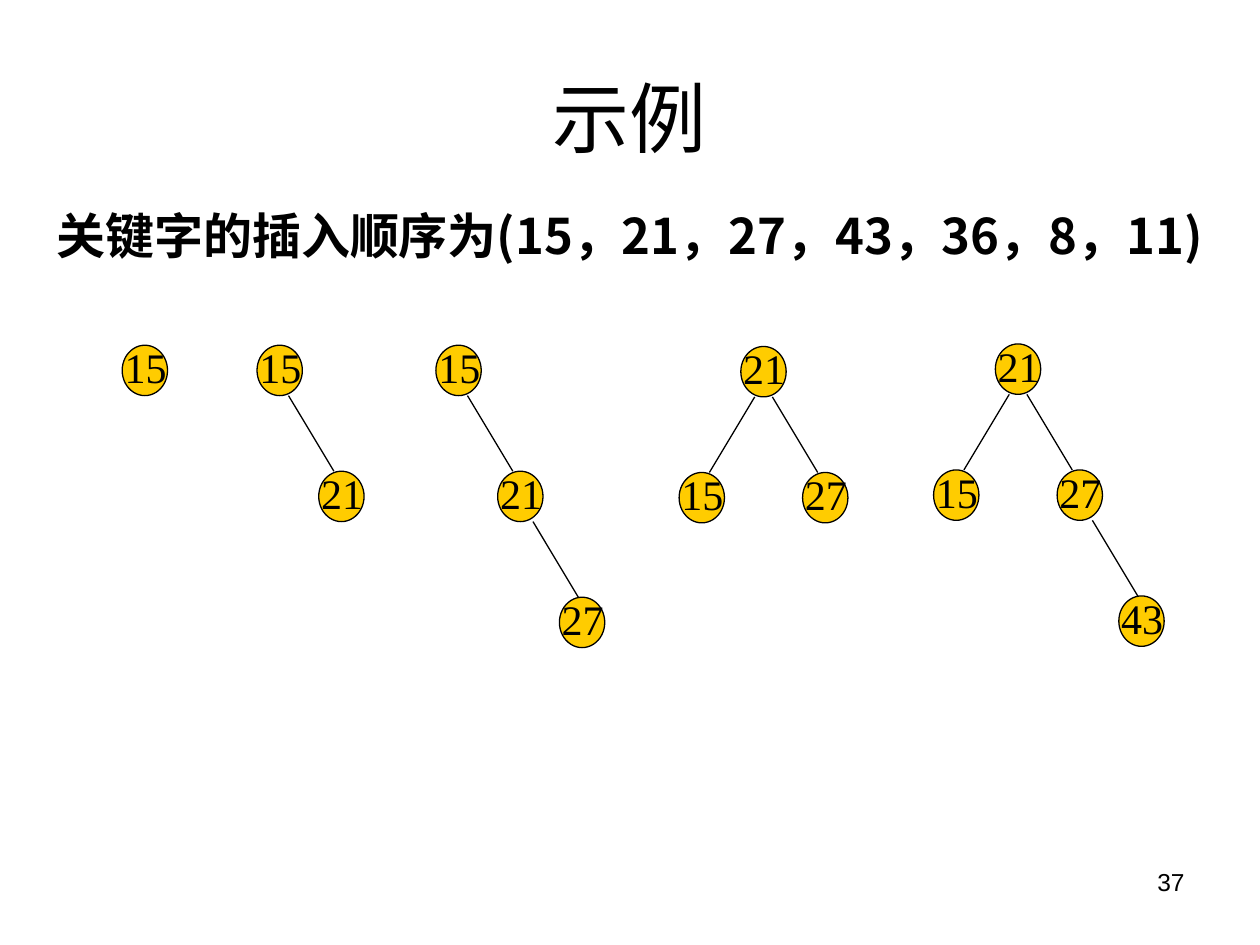
from pptx import Presentation
from pptx.dml.color import RGBColor
from pptx.enum.shapes import MSO_CONNECTOR, MSO_SHAPE
from pptx.enum.text import MSO_ANCHOR, PP_ALIGN
from pptx.oxml.ns import qn
from pptx.util import Inches, Pt
from lxml import etree

ELLIPSE, STRAIGHT = MSO_SHAPE.OVAL, MSO_CONNECTOR.STRAIGHT
LEFT, CENTER, RIGHT = PP_ALIGN.LEFT, PP_ALIGN.CENTER, PP_ALIGN.RIGHT
JUSTIFY, MIDDLE = PP_ALIGN.JUSTIFY, MSO_ANCHOR.MIDDLE
BLACK = RGBColor(0x00, 0x00, 0x00)
GOLD = RGBColor(0xFF, 0xCC, 0x00)

TITLE = "示例"
SEQUENCE = "关键字的插入顺序为(15，21，27，43，36，8，11)"
PAGE = "37"

# Root position, then each node as (key, column, level); column counts right from the root.
TREES = [
    ((0.97, 2.74), [("15", 0, 0)]),
    ((2.04, 2.74), [("15", 0, 0), ("21", 1, 1)]),
    ((3.46, 2.74), [("15", 0, 0), ("21", 1, 1), ("27", 2, 2)]),
    ((5.88, 2.75), [("21", 0, 0), ("15", -1, 1), ("27", 1, 1)]),
    ((7.90, 2.73), [("21", 0, 0), ("15", -1, 1), ("27", 1, 1), ("43", 2, 2)]),
]
NODE_W, NODE_H = 0.36, 0.40
COLUMN_STEP, LEVEL_STEP = 0.49, 1.0
EDGE_START, EDGE_RUN, EDGE_SHIFT = 0.07, 0.36, 0.03
LABEL_DX, LABEL_DY, LABEL_W, LABEL_H = -0.08, -0.08, 0.72, 0.70


def write(frame, text, size, font, align, bold=False):
    frame.word_wrap = True
    paragraph = frame.paragraphs[0]
    paragraph.alignment = align
    run = paragraph.add_run()
    run.text = text
    run.font.size = Pt(size)
    run.font.name = font
    run.font.bold = bold
    run.font.color.rgb = BLACK
    return run


def add_text(shapes, box, *style, **options):
    frame = shapes.add_textbox(*map(Inches, box)).text_frame
    return write(frame, *style, **options)


def add_edge(shapes, parent_x, parent_y, side, parent_level):
    """Joins a parent to its child; side is -1 for left and 1 for right."""
    start = EDGE_START + EDGE_SHIFT * parent_level
    middle = parent_x + NODE_W / 2
    edge = shapes.add_connector(
        STRAIGHT,
        Inches(middle + side * start), Inches(parent_y + NODE_H),
        Inches(middle + side * (start + EDGE_RUN)), Inches(parent_y + LEVEL_STEP))
    edge.line.color.rgb = BLACK
    edge.line.width = Pt(0.75)
    etree.SubElement(edge._element.spPr, qn("a:effectLst"))


def add_node(shapes, key, x, y):
    node = shapes.add_shape(ELLIPSE, *map(Inches, (x, y, NODE_W, NODE_H)))
    node.shadow.inherit = False
    node.fill.solid()
    node.fill.fore_color.rgb = GOLD
    node.line.color.rgb = BLACK
    node.line.width = Pt(0.75)
    add_text(shapes, (x + LABEL_DX, y + LABEL_DY, LABEL_W, LABEL_H),
             key, 24, "Times New Roman", JUSTIFY)


def add_tree(slide, root, nodes):
    shapes = slide.shapes.add_group_shape().shapes
    for key, column, level in nodes:
        x = root[0] + column * COLUMN_STEP
        y = root[1] + level * LEVEL_STEP
        if level:
            side = 1 if column > 0 else -1
            add_edge(shapes, x - side * COLUMN_STEP, y - LEVEL_STEP, side, level - 1)
        add_node(shapes, key, x, y)


def main():
    deck = Presentation()
    deck.slide_width, deck.slide_height = Inches(10), Inches(7.5)
    slide = deck.slides.add_slide(deck.slide_layouts[5])

    title = slide.shapes.title
    title.left, title.top, title.width, title.height = map(Inches, (0.5, 0.3, 9, 1.25))
    title.text_frame.vertical_anchor = MIDDLE
    write(title.text_frame, TITLE, 44, "Arial", CENTER)

    sequence = add_text(slide.shapes, (0.35, 1.58, 9.37, 0.57),
                        SEQUENCE, 28, "Noto Sans CJK SC", LEFT, bold=True)
    east_asian = etree.SubElement(sequence.font._element, qn("a:ea"))
    east_asian.set("typeface", "Noto Sans CJK SC")

    for root, nodes in TREES:
        add_tree(slide, root, nodes)

    add_text(slide.shapes, (7.17, 6.83, 2.33, 0.52), PAGE, 14, "Arial", RIGHT)
    deck.save("out.pptx")


if __name__ == "__main__":
    main()
